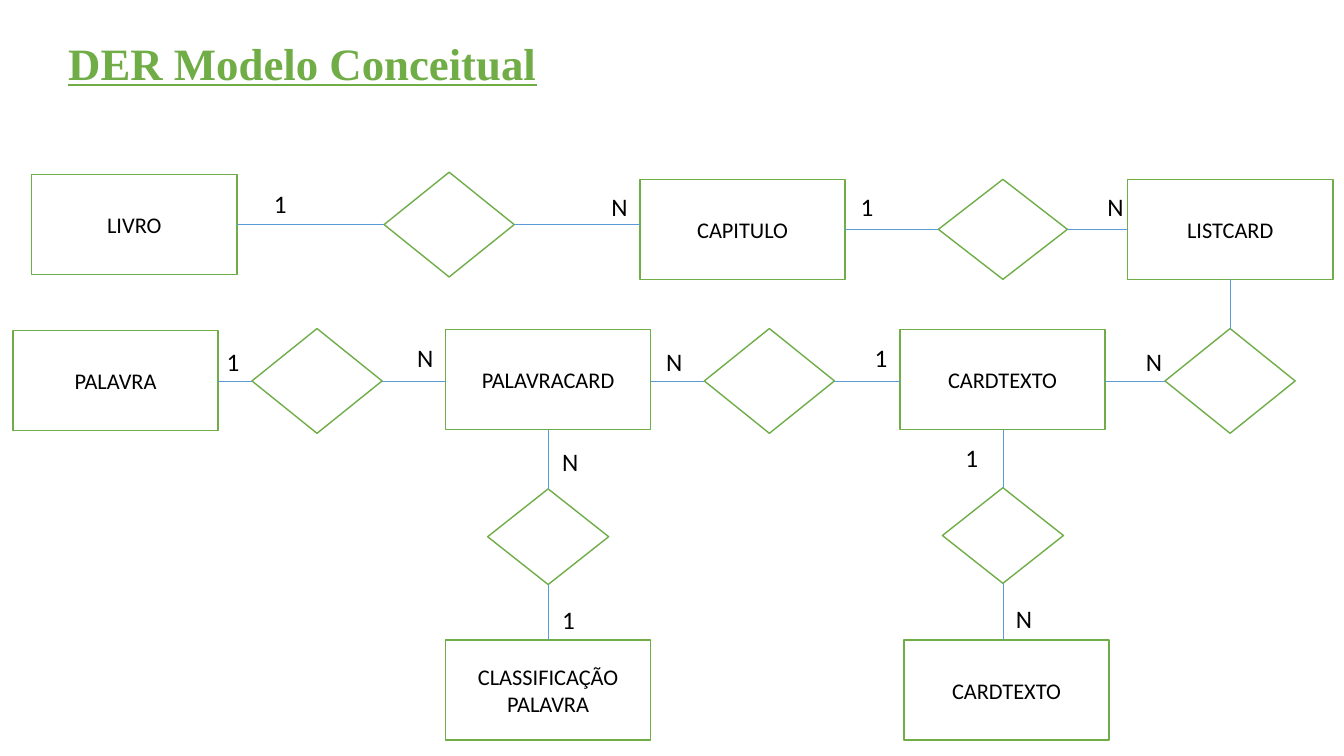
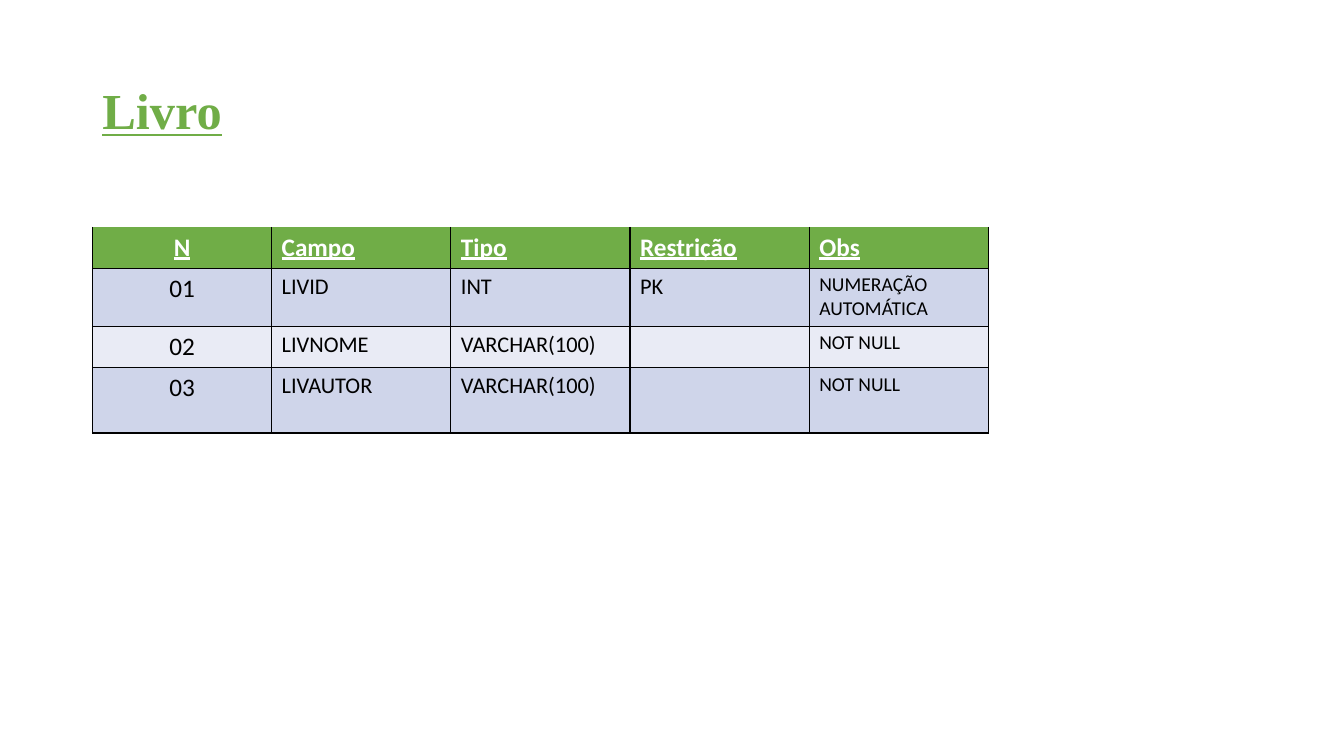
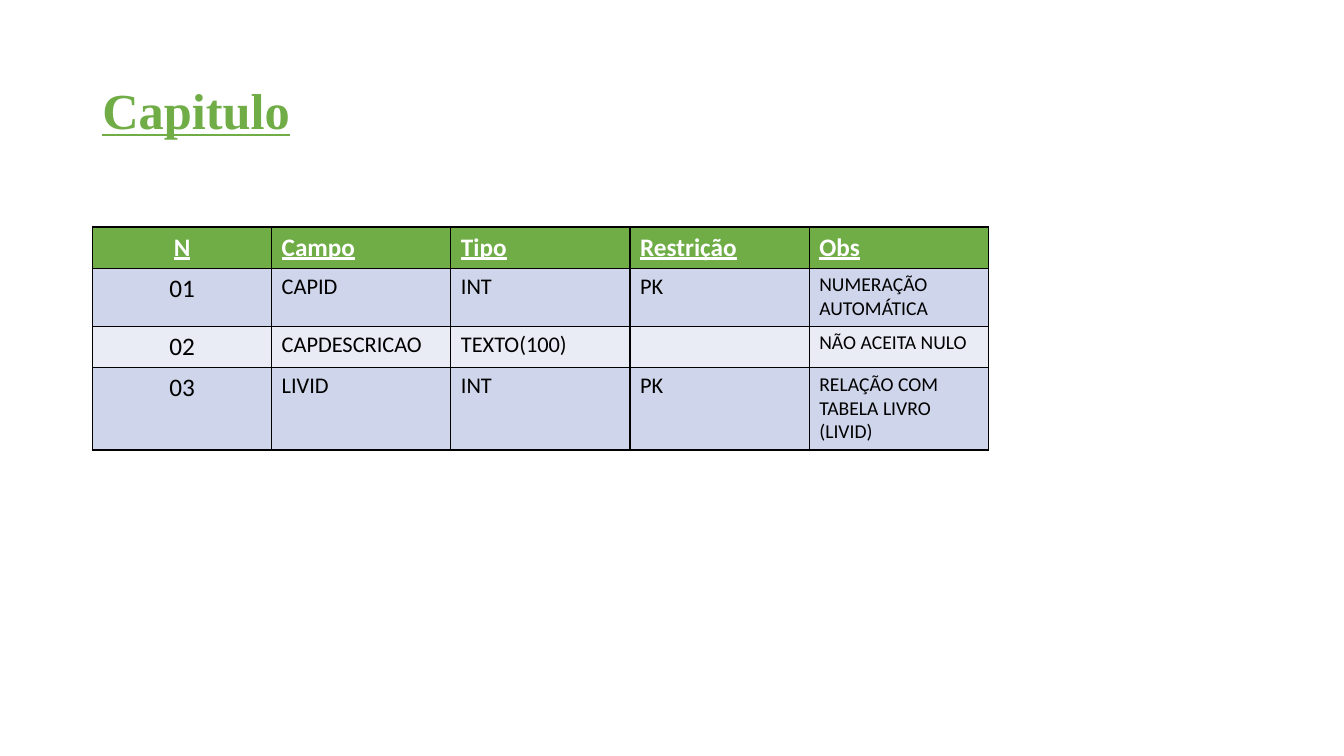
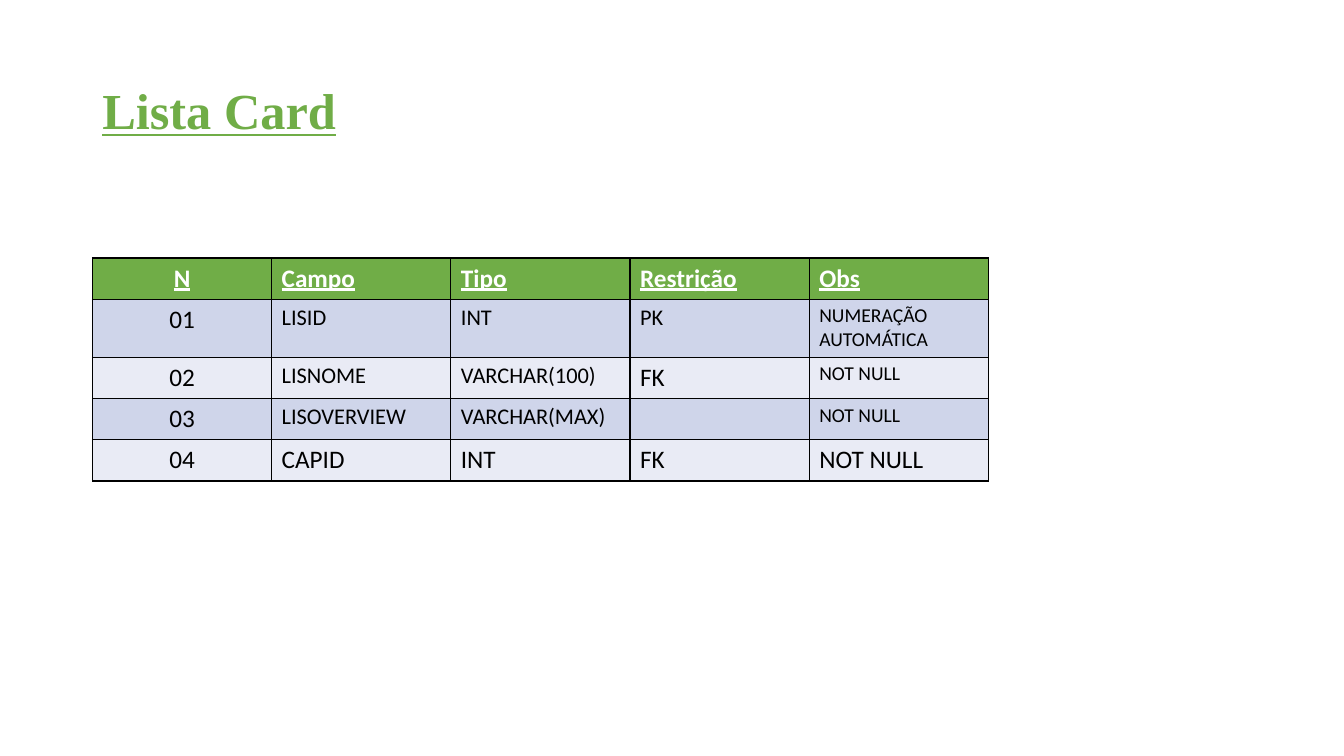
from lxml.etree import SubElement
from pptx import Presentation
from pptx.dml.color import RGBColor
from pptx.enum.shapes import MSO_CONNECTOR, MSO_SHAPE
from pptx.enum.text import MSO_ANCHOR, MSO_AUTO_SIZE, PP_ALIGN
from pptx.oxml.ns import qn
from pptx.util import Cm, Pt

GREEN, BLUE, BLACK, WHITE = "70AD47", "5B9BD5", "000000", "FFFFFF"
BANDS = ["CFD5EA", "E9EBF5"]
BODY = {"name": "Calibri", "size": Pt(18), "bold": False, "underline": False}
TITLE = {"name": "Times New Roman", "bold": True, "underline": True}
HEADER = {**BODY, "bold": True, "underline": True}
TOP, LEFT, BOTTOM, RIGHT = range(4)

ENTITY_SIZE = (5.17, 2.52)
ENTITIES = {
    "livro": ("LIVRO", 0.5, 0.1),
    "capitulo": ("CAPITULO", 15.83, 0.22),
    "listcard": ("LISTCARD", 28.12, 0.22),
    "palavra": ("PALAVRA", 0.03, 4.03),
    "palavracard": ("PALAVRACARD", 10.93, 4.01),
    "cardtexto": ("CARDTEXTO", 22.38, 4.01),
    "classificacao": ("CLASSIFICAÇÃO\nPALAVRA", 10.93, 11.83),
    "cardtexto_n": ("CARDTEXTO", 22.48, 11.83),
}
RELATIONS = [
    ((9.38, 0.04, 3.28, 2.64), {LEFT: "livro", RIGHT: "capitulo"}),
    ((23.35, 0.22, 3.25, 2.52), {LEFT: "capitulo", RIGHT: "listcard"}),
    ((29.06, 3.98, 3.28, 2.64), {TOP: "listcard", LEFT: "cardtexto"}),
    ((17.45, 3.98, 3.28, 2.64), {LEFT: "palavracard", RIGHT: "cardtexto"}),
    ((6.05, 3.98, 3.28, 2.64), {LEFT: "palavra", RIGHT: "palavracard"}),
    ((11.99, 8.02, 3.05, 2.41), {TOP: "palavracard", BOTTOM: "classificacao"}),
    ((23.45, 7.99, 3.05, 2.41), {TOP: "cardtexto", BOTTOM: "cardtexto_n"}),
]
CARDINALITIES = {
    "1": [(6.35, 0.32), (21.14, 0.4), (5.16, 4.29), (21.49, 4.21),
          (13.62, 10.81), (23.78, 6.72)],
    "N": [(14.86, 0.4), (27.36, 0.4), (9.96, 4.21), (16.24, 4.29),
          (13.62, 6.83), (25.05, 10.79), (28.33, 4.29)],
}
LABEL_WIDTHS = {"1": 0.84, "N": 0.91}

FIELDS = ["N", "Campo", "Tipo", "Restrição", "Obs"]
FIELD_SIZES = [18, 16, 16, 16, 14]
AUTO = "NUMERAÇÃO AUTOMÁTICA"
ROW, TALL_ROW = 1.04, 1.46
TABLES = [
    ("Livro", 5.72, [ROW, TALL_ROW, ROW, 1.65], [
        ["LIVID", "INT", "PK", AUTO],
        ["LIVNOME", "VARCHAR(100)", "", "NOT NULL"],
        ["LIVAUTOR", "VARCHAR(100)", "", "NOT NULL"],
    ], "LRB"),
    ("Capitulo", 5.72, [ROW, TALL_ROW, ROW, 2.08], [
        ["CAPID", "INT", "PK", AUTO],
        ["CAPDESCRICAO", "TEXTO(100)", "", "NÃO ACEITA NULO"],
        ["LIVID", "INT", "PK", "RELAÇÃO COM TABELA LIVRO (LIVID)"],
    ], "LRTB"),
    ("Lista Card", 6.5, [ROW, TALL_ROW, ROW, ROW, ROW], [
        ["LISID", "INT", "PK", AUTO],
        ["LISNOME", "VARCHAR(100)", ("FK", 18), "NOT NULL"],
        ["LISOVERVIEW", "VARCHAR(MAX)", "", "NOT NULL"],
        [("CAPID", 18), ("INT", 18), ("FK", 18), ("NOT NULL", 18)],
    ], "LRTB"),
]


def rgb(value):
    return RGBColor.from_string(value)


def write(tf, text, font, color, align=PP_ALIGN.LEFT, spacing=None):
    for i, line in enumerate(text.split("\n")):
        p = tf.add_paragraph() if i else tf.paragraphs[0]
        p.alignment = align
        if spacing:
            p.line_spacing = spacing
        if not line:
            continue
        r = p.add_run()
        r.text = line
        for name, value in font.items():
            setattr(r.font, name, value)
        r.font.color.rgb = rgb(color)


def add_title(s, text, x, y, size):
    tf = s.shapes.add_textbox(Cm(x), Cm(y), Cm(29.21), Cm(3.68)).text_frame
    tf.word_wrap = True
    tf.vertical_anchor = MSO_ANCHOR.MIDDLE
    write(tf, text, {**TITLE, "size": Pt(size)}, GREEN, spacing=0.9)


def add_node(s, kind, x, y, w, h, text=""):
    sp = s.shapes.add_shape(kind, Cm(x), Cm(y), Cm(w), Cm(h))
    sp.shadow.inherit = False
    sp.fill.solid()
    sp.fill.fore_color.rgb = rgb(WHITE)
    sp.line.color.rgb = rgb(GREEN)
    sp.line.width = Pt(1)
    tf = sp.text_frame
    tf.vertical_anchor = MSO_ANCHOR.MIDDLE
    write(tf, text, {**BODY, "size": Pt(16)}, BLACK, PP_ALIGN.CENTER)
    return sp


def add_link(s, diamond, side, entity):
    middle_x = diamond.left + diamond.width // 2
    middle_y = diamond.top + diamond.height // 2
    end = {
        TOP: (middle_x, entity.top + entity.height),
        LEFT: (entity.left + entity.width, middle_y),
        BOTTOM: (middle_x, entity.top),
        RIGHT: (entity.left, middle_y),
    }[side]
    line = s.shapes.add_connector(MSO_CONNECTOR.STRAIGHT, middle_x, middle_y, *end)
    line.begin_connect(diamond, side)
    line.line.color.rgb = rgb(BLUE)
    line.line.width = Pt(0.5)
    SubElement(line._element.spPr, qn("a:effectLst"))


def add_label(s, text, x, y):
    tf = s.shapes.add_textbox(Cm(x), Cm(y), Cm(LABEL_WIDTHS[text]), Cm(1.03)).text_frame
    tf.word_wrap = False
    tf.auto_size = MSO_AUTO_SIZE.SHAPE_TO_FIT_TEXT
    write(tf, text, BODY, BLACK)


def add_diagram(s, x, y):
    entities = {
        key: add_node(s, MSO_SHAPE.RECTANGLE, x + dx, y + dy, *ENTITY_SIZE, text)
        for key, (text, dx, dy) in ENTITIES.items()
    }
    for (dx, dy, w, h), links in RELATIONS:
        diamond = add_node(s, MSO_SHAPE.FLOWCHART_DECISION, x + dx, y + dy, w, h)
        for side, key in links.items():
            add_link(s, diamond, side, entities[key])
    for text, places in CARDINALITIES.items():
        for dx, dy in places:
            add_label(s, text, x + dx, y + dy)


def set_borders(cell, sides):
    tcPr = cell._tc.get_or_add_tcPr()
    for side in "LRTB":
        ln = SubElement(tcPr, qn(f"a:ln{side}"), w=str(Pt(1)))
        if side in sides:
            fill = SubElement(ln, qn("a:solidFill"))
            SubElement(fill, qn("a:srgbClr"), val=BLACK)
        else:
            SubElement(ln, qn("a:noFill"))


def add_field_table(s, x, y, w, heights, records, header_sides):
    rows = [FIELDS] + [[f"{n:02}", *record] for n, record in enumerate(records, 1)]
    table = s.shapes.add_table(len(rows), len(FIELDS), Cm(x), Cm(y), Cm(w),
                               Cm(sum(heights))).table
    table.first_row = table.horz_banding = False
    for column in table.columns:
        column.width = Cm(w / len(FIELDS))
    for i, (row, height) in enumerate(zip(rows, heights)):
        table.rows[i].height = Cm(height)
        for j, value in enumerate(row):
            text, size = value if isinstance(value, tuple) else (value, FIELD_SIZES[j])
            cell = table.cell(i, j)
            set_borders(cell, "LRTB" if i else header_sides)
            cell.fill.solid()
            cell.fill.fore_color.rgb = rgb(BANDS[(i - 1) % 2] if i else GREEN)
            font = {**BODY, "size": Pt(size)} if i else HEADER
            align = PP_ALIGN.LEFT if j else PP_ALIGN.CENTER
            write(cell.text_frame, text, font, BLACK if i else WHITE, align)


def new_slide(prs):
    return prs.slides.add_slide(prs.slide_layouts[6])


def model_slide(prs):
    s = new_slide(prs)
    add_title(s, "DER Modelo Conceitual", 1.47, -0.18, 32)
    add_diagram(s, 0.3, 4.3)


def table_slide(prs, title, top, heights, records, header_sides):
    s = new_slide(prs)
    add_title(s, title, 2.33, 1.01, 36)
    add_field_table(s, 2.33, top, 22.58, heights, records, header_sides)


prs = Presentation()
prs.slide_width, prs.slide_height = Cm(33.87), Cm(19.05)
model_slide(prs)
for content in TABLES:
    table_slide(prs, *content)
prs.save("out.pptx")
